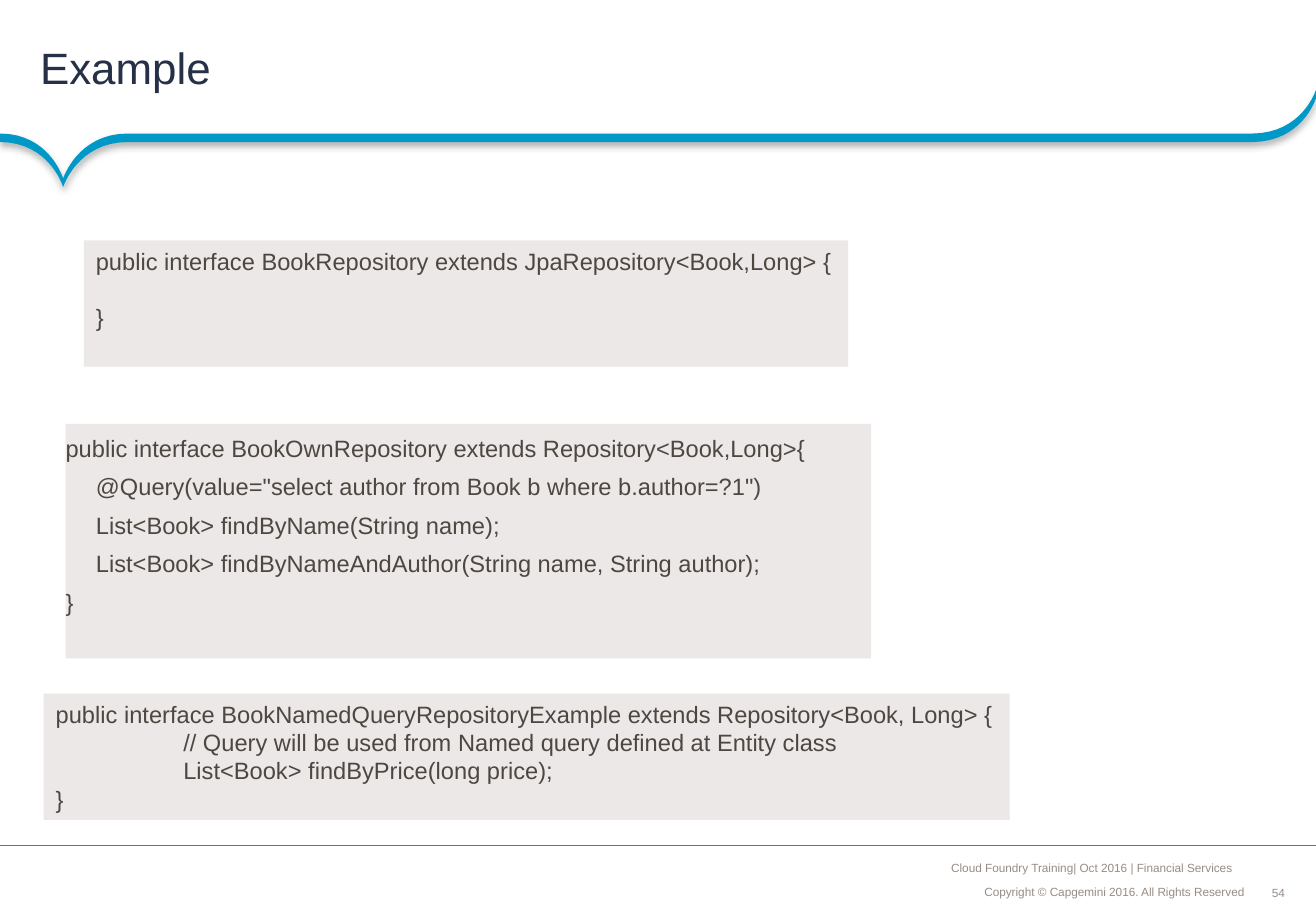
from lxml import etree
from pptx import Presentation
from pptx.dml.color import RGBColor
from pptx.enum.shapes import MSO_CONNECTOR, MSO_SHAPE
from pptx.enum.text import MSO_ANCHOR, PP_ALIGN
from pptx.oxml import parse_xml
from pptx.oxml.ns import nsdecls, qn
from pptx.util import Inches, Pt

PAGE_WIDTH, PAGE_HEIGHT = 10.83, 7.5
BLUE, NAVY, GREY, BROWN, PALE = "0098C7", "263147", "998C85", "4E4641", "EBE8E7"

REPOSITORY = [
    (0, "public interface BookRepository extends JpaRepository<Book,Long> {"),
    (0, "}"),
]
OWN_REPOSITORY = [
    (0, "public interface BookOwnRepository extends Repository<Book,Long>{"),
    (0.25, '@Query(value="select author from Book b where b.author=?1")'),
    (0.25, "List<Book> findByName(String name);"),
    (0.25, "List<Book> findByNameAndAuthor(String name, String author);"),
    (0, "}"),
]
NAMED_QUERY = [
    (0, "public interface BookNamedQueryRepositoryExample extends Repository<Book, Long> {"),
    (1.05, "// Query will be used from Named query defined at Entity class"),
    (1.05, "List<Book> findByPrice(long price);"),
    (0, "}"),
]

# Each ribbon piece is one point for a straight edge or three for a Bezier curve.
RIBBON_START = (10.3, 1.1)
RIBBON_PIECES = [
    [(1.05, 1.1)],
    [(0.64, 1.1), (0.52, 1.47), (0.52, 1.47)],
    [(0.52, 1.47), (0.41, 1.1), (0, 1.1)],
    [(0, 1.17)],
    [(0.41, 1.17), (0.52, 1.54), (0.52, 1.54)],
    [(0.52, 1.54), (0.64, 1.17), (1.05, 1.17)],
    [(10.3, 1.17)],
    [(10.72, 1.17), (10.83, 0.81), (10.83, 0.81)],
    [(10.83, 0.74)],
    [(10.83, 0.74), (10.72, 1.1), (10.3, 1.1)],
]


def color(value):
    return RGBColor.from_string(value)


def set_frame(box, insets, anchor=MSO_ANCHOR.TOP, wrap=True):
    frame = box.text_frame
    frame.word_wrap = wrap
    frame.vertical_anchor = anchor
    left, top, right, bottom = map(Inches, insets)
    frame.margin_left, frame.margin_top = left, top
    frame.margin_right, frame.margin_bottom = right, bottom
    return frame


def set_font(para, size, fill):
    para.font.name = "Arial"
    para.font.size = Pt(size)
    para.font.color.rgb = color(fill)


def add_label(page, text, area, size, fill, align, anchor, insets, wrap=True):
    box = page.shapes.add_textbox(*map(Inches, area))
    para = set_frame(box, insets, anchor, wrap).paragraphs[0]
    para.text = text
    para.alignment = align
    set_font(para, size, fill)
    return para


def add_code(page, lines, area, insets=(0.1, 0.05, 0.1, 0.05), wrap=False, gap=0):
    """Draw a shaded box of (indent, text) lines and return its paragraphs."""
    box = page.shapes.add_shape(MSO_SHAPE.RECTANGLE, *map(Inches, area))
    box.shadow.inherit = False
    box.fill.solid()
    box.fill.fore_color.rgb = color(PALE)
    box.line.fill.background()
    frame = set_frame(box, insets, wrap=wrap)
    for index, (indent, text) in enumerate(lines):
        para = frame.add_paragraph() if index else frame.paragraphs[0]
        para.text = text
        para.alignment = PP_ALIGN.LEFT
        para.space_after = Pt(gap)
        if indent:
            para._p.get_or_add_pPr().set("marL", str(Inches(indent)))
        set_font(para, 14, BROWN)
    return frame.paragraphs


def curve_points(start, first, second, end, steps=16):
    """Sample a cubic Bezier curve, leaving out its start."""
    knots = (start, first, second, end)
    for step in range(1, steps + 1):
        t = step / steps
        weights = ((1 - t) ** 3, 3 * t * (1 - t) ** 2, 3 * t * t * (1 - t), t ** 3)
        yield tuple(sum(w * knot[axis] for w, knot in zip(weights, knots)) for axis in (0, 1))


def add_ribbon(page):
    points = [RIBBON_START]
    for piece in RIBBON_PIECES:
        points += piece if len(piece) == 1 else curve_points(points[-1], *piece)
    corners = [(Inches(x), Inches(y)) for x, y in points]
    builder = page.shapes.build_freeform(*corners[0])
    builder.add_line_segments(corners[1:], close=True)
    ribbon = builder.convert_to_shape()
    ribbon.fill.solid()
    ribbon.fill.fore_color.rgb = color(BLUE)
    ribbon.line.fill.background()
    ribbon._element.spPr.append(parse_xml(
        f'<a:effectLst {nsdecls("a")}>'
        f'<a:outerShdw blurRad="{Pt(4)}" dist="{Pt(2)}" dir="5400000" rotWithShape="0">'
        '<a:srgbClr val="000000"><a:alpha val="31000"/></a:srgbClr>'
        '</a:outerShdw></a:effectLst>'))


def add_rule(page, y):
    rule = page.shapes.add_connector(
        MSO_CONNECTOR.STRAIGHT, Inches(PAGE_WIDTH), Inches(y), Inches(0), Inches(y))
    rule.line.color.rgb = color(BLUE)
    rule.line.width = Pt(0.75)
    etree.SubElement(rule._element.spPr, qn("a:effectLst"))


def add_footer(page):
    insets = (0.04,) * 4
    add_label(page, "54", (10.46, 7.29, 0.12, 0.12), 7, GREY,
              PP_ALIGN.CENTER, MSO_ANCHOR.MIDDLE, (0,) * 4, wrap=False)
    notice = add_label(page, "Copyright © Capgemini 2016. All Rights Reserved",
                       (7.37, 7.24, 2.91, 0.2), 7, GREY,
                       PP_ALIGN.RIGHT, MSO_ANCHOR.BOTTOM, insets)
    notice.line_spacing = 0.9
    add_label(page, "Cloud Foundry Training| Oct 2016 | Financial Services",
              (7.62, 7.04, 2.56, 0.2), 7, GREY,
              PP_ALIGN.RIGHT, MSO_ANCHOR.BOTTOM, insets)
    add_rule(page, 6.96)


def main():
    deck = Presentation()
    deck.slide_width, deck.slide_height = Inches(PAGE_WIDTH), Inches(PAGE_HEIGHT)
    page = deck.slides.add_slide(deck.slide_layouts[6])
    add_ribbon(page)
    add_footer(page)
    add_label(page, "Example", (0, 0, PAGE_WIDTH, 1.1), 26, NAVY,
              PP_ALIGN.LEFT, MSO_ANCHOR.MIDDLE, (0.33, 0.04, 0.18, 0.04))
    add_code(page, OWN_REPOSITORY, (0.54, 3.49, 6.63, 1.93),
             (0, 0.08, 0.08, 0.08), wrap=True, gap=6)
    add_code(page, NAMED_QUERY, (0.36, 5.71, 7.95, 1.04))
    closing = add_code(page, REPOSITORY, (0.69, 1.98, 6.29, 1.04))[-1]
    closing.space_before = Pt(16.8)
    deck.save("out.pptx")


if __name__ == "__main__":
    main()
